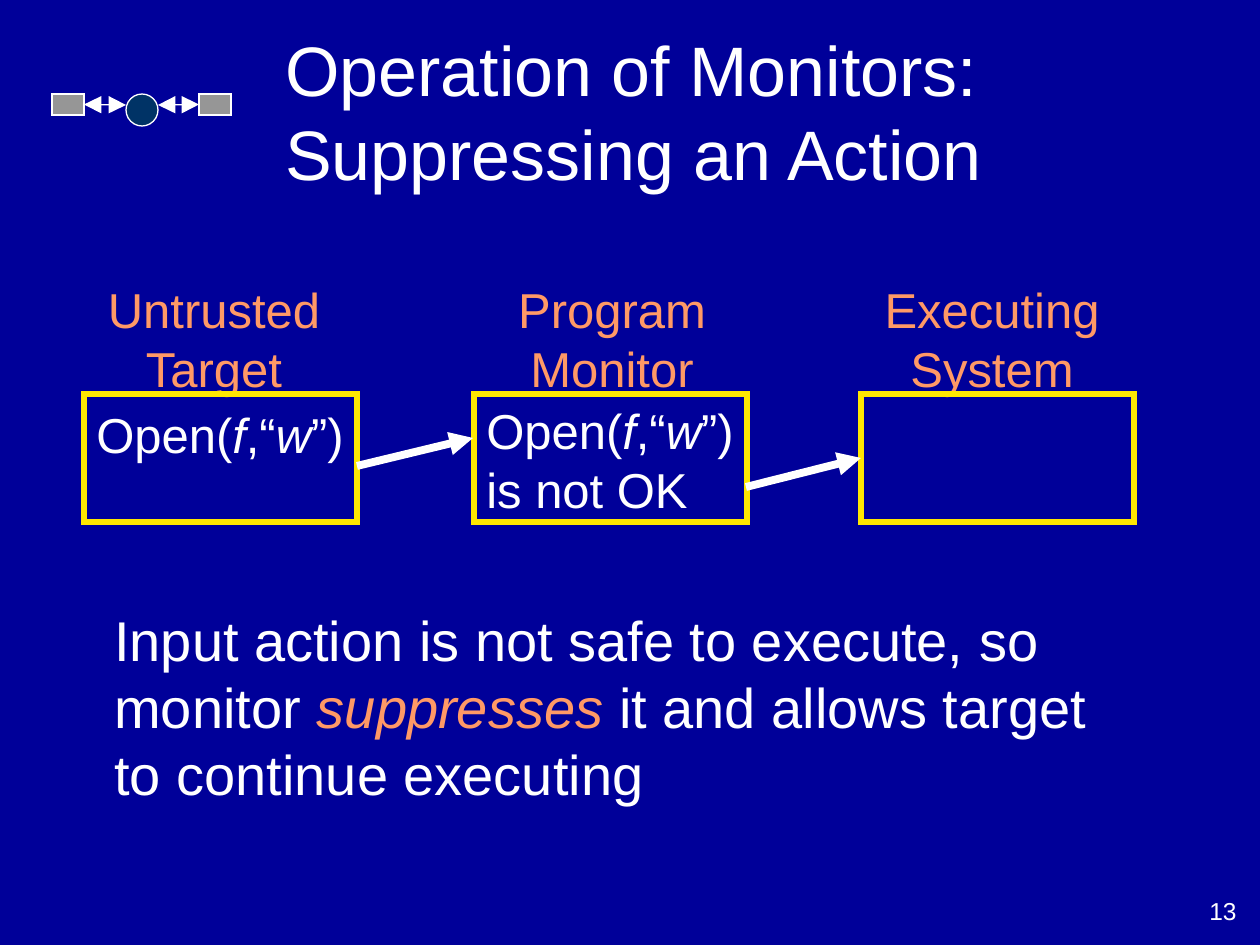
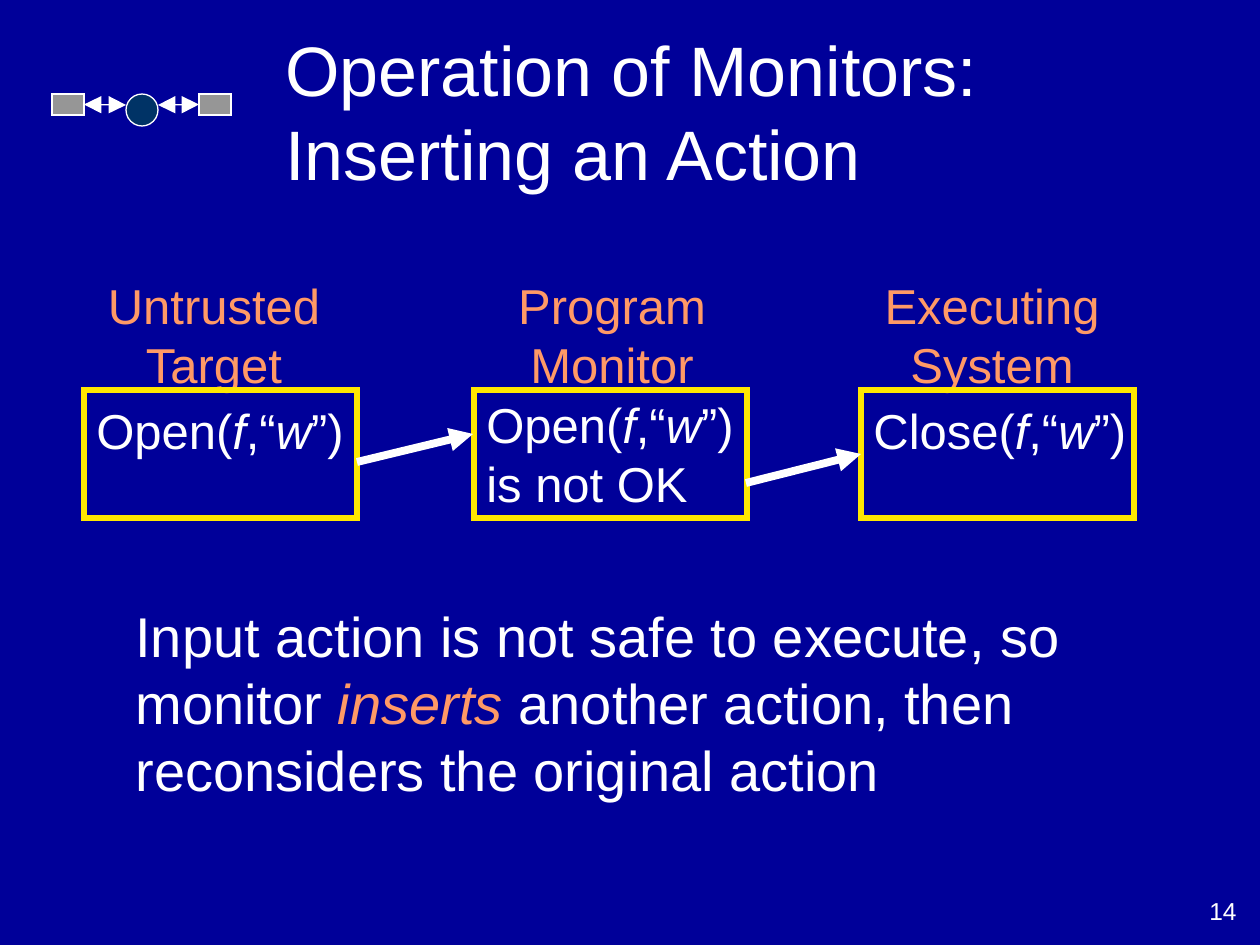
from lxml.etree import SubElement
from pptx import Presentation
from pptx.dml.color import RGBColor
from pptx.enum.shapes import MSO_CONNECTOR, MSO_SHAPE
from pptx.enum.text import MSO_ANCHOR, MSO_AUTO_SIZE, PP_ALIGN
from pptx.oxml.ns import qn
from pptx.util import Emu, Pt

PX = 914400 / 126
NAVY = RGBColor(0x00, 0x00, 0x99)
WHITE = RGBColor(0xFF, 0xFF, 0xFF)
ORANGE = RGBColor(0xFF, 0x99, 0x66)
YELLOW = RGBColor(0xFF, 0xE7, 0x01)
GREY = RGBColor(0x96, 0x96, 0x96)
TEAL = RGBColor(0x00, 0x33, 0x66)

BOX_WIDTH, BOX_HEIGHT = 273, 128
# Label, label left, label width, box left
COLUMNS = [
    ("Untrusted\nTarget", 93, 242, 84),
    ("Program\nMonitor", 503, 218, 474),
    ("Executing\nSystem", 870, 244, 861),
]
# Text between asterisks is italic. Action: text, width, offset from box top
SLIDES = [
    dict(number=13, title="Operation of Monitors: Suppressing an Action", title_width=892,
         box_top=394, body_left=102, body_width=1032,
         actions=[("Open(*f*,“*w*”)", 277, 4), ("Open(*f*,“*w*”)\nis not OK", 277, 0), None],
         body="Input action is not safe to execute, so monitor *suppresses *"
              "it and allows target to continue executing"),
    dict(number=14, title="Operation of Monitors: Inserting an Action", title_width=945,
         box_top=390, body_left=123, body_width=1075,
         actions=[("Open(*f*,“*w*”)", 277, 4), ("Open(*f*,“*w*”)\nis not OK", 277, -2),
                  ("Close(*f*,“*w*”)", 283, 4)],
         body="Input action is not safe to execute, so monitor *inserts*"
              " another action, then reconsiders the original action"),
]


def add_text(slide, area, text, size, color=WHITE, italic_color=WHITE,
             align=PP_ALIGN.LEFT, wrap=True, anchor=MSO_ANCHOR.TOP):
    frame = slide.shapes.add_textbox(*(Emu(round(v * PX)) for v in area)).text_frame
    frame.word_wrap = wrap
    frame.vertical_anchor = anchor
    frame.auto_size = MSO_AUTO_SIZE.NONE
    for i, line in enumerate(text.split("\n")):
        paragraph = frame.add_paragraph() if i else frame.paragraphs[0]
        paragraph.alignment = align
        for j, part in enumerate(line.split("*")):
            if not part:
                continue
            run = paragraph.add_run()
            run.text = part
            run.font.name, run.font.size = "Arial", Pt(size)
            run.font.italic = j % 2 == 1
            run.font.color.rgb = italic_color if run.font.italic else color


def add_arrow(slide, start, end, weight, ends, head_size="med"):
    arrow = slide.shapes.add_connector(
        MSO_CONNECTOR.STRAIGHT, *(Emu(round(v * PX)) for v in start + end))
    arrow.line.color.rgb = WHITE
    arrow.line.width = Pt(weight)
    for tag in ends:
        SubElement(arrow.line._get_or_add_ln(), qn(tag),
                   type="triangle", w=head_size, len=head_size)
    SubElement(arrow._element.spPr, qn("a:effectLst"))
    return arrow


prs = Presentation()
prs.slide_width, prs.slide_height = Emu(round(1260 * PX)), Emu(round(945 * PX))
background = prs.slide_master.background.fill
background.solid()
background.fore_color.rgb = NAVY

for content in SLIDES:
    slide = prs.slides.add_slide(prs.slide_layouts[6])
    top = content["box_top"]

    # Title
    add_text(slide, (273, 32, content["title_width"], 157), content["title"], 40,
             anchor=MSO_ANCHOR.MIDDLE)

    # Column labels, behind the boxes
    for label, label_left, label_width, _ in COLUMNS:
        add_text(slide, (label_left, top - 121, label_width, 131), label, 28, ORANGE,
                 align=PP_ALIGN.CENTER, wrap=False)

    # Monitor emblem and the three column boxes
    outlines = [
        (MSO_SHAPE.RECTANGLE, (199, 94, 32, 21), GREY, WHITE, 0.75),
        (MSO_SHAPE.RECTANGLE, (52, 94, 32, 21), GREY, WHITE, 0.75),
        (MSO_SHAPE.OVAL, (126, 94, 32, 32), TEAL, WHITE, 0.75),
    ] + [(MSO_SHAPE.RECTANGLE, (left, top, BOX_WIDTH, BOX_HEIGHT), None, YELLOW, 3)
         for _, _, _, left in COLUMNS]
    shapes = []
    for kind, area, fill, line, weight in outlines:
        shape = slide.shapes.add_shape(kind, *(Emu(round(v * PX)) for v in area))
        shape.shadow.inherit = False
        if fill is None:
            shape.fill.background()
        else:
            shape.fill.solid()
            shape.fill.fore_color.rgb = fill
        shape.line.color.rgb = line
        shape.line.width = Pt(weight)
        SubElement(shape.line._get_or_add_ln(), qn("a:miter"), lim="800000")
        shapes.append(shape)
    emblem_right, emblem_left, _, _, _, system_box = shapes

    both_ends = ("a:headEnd", "a:tailEnd")
    from_left = add_arrow(slide, (84, 105), (126, 105), 0.75, both_ends, "lg")
    from_left.begin_connect(emblem_left, 3)
    to_right = add_arrow(slide, (158, 105), (199, 105), 0.75, both_ends, "lg")
    to_right.end_connect(emblem_right, 1)

    # Actions in the boxes
    for (_, _, _, box_left), action in zip(COLUMNS, content["actions"]):
        if action:
            text, width, offset = action
            height = 72 + 59 * text.count("\n")
            add_text(slide, (box_left, top + offset, width, height), text, 28, wrap=False)

    # Flow from target to monitor to system
    add_arrow(slide, (357, top + 72), (473, top + 44), 4.5, ("a:tailEnd",))
    to_system = add_arrow(slide, (746, top + 93), (861, top + 64), 4.5, ("a:tailEnd",))
    to_system.end_connect(system_box, 1)

    # Explanation and slide number
    add_text(slide, (content["body_left"], top + 205, content["body_width"], 214),
             content["body"], 32, italic_color=ORANGE)
    add_text(slide, (955, 890, 294, 65), str(content["number"]), 14, align=PP_ALIGN.RIGHT)

prs.save("out.pptx")
